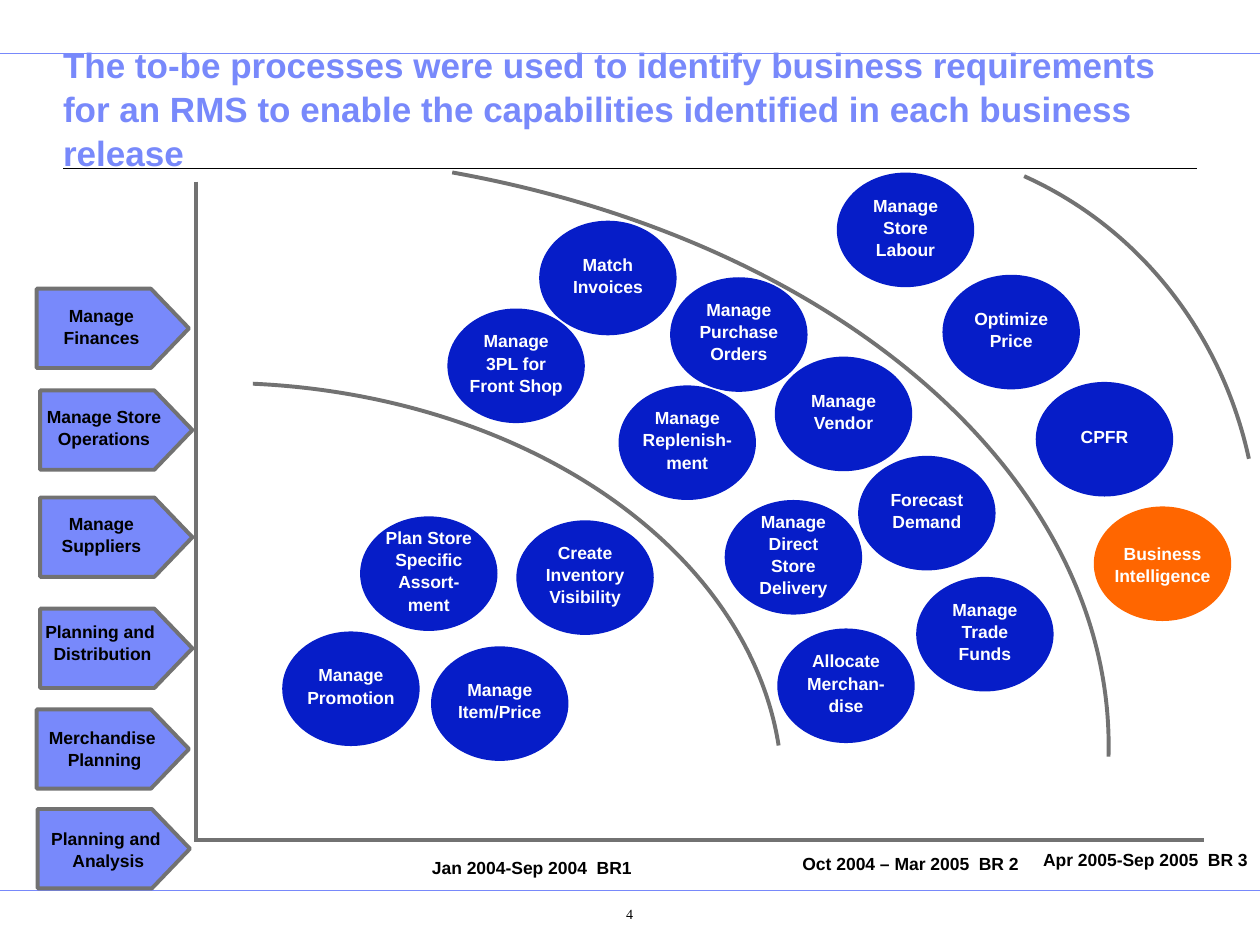
from lxml import etree
from pptx import Presentation
from pptx.dml.color import RGBColor
from pptx.enum.shapes import MSO_CONNECTOR, MSO_SHAPE
from pptx.enum.text import MSO_ANCHOR, MSO_AUTO_SIZE, PP_ALIGN
from pptx.oxml.ns import qn
from pptx.util import Cm, Pt

ARC, OVAL, TAG = MSO_SHAPE.ARC, MSO_SHAPE.OVAL, MSO_SHAPE.PENTAGON
STRAIGHT = MSO_CONNECTOR.STRAIGHT
TOP, MID, LOW = MSO_ANCHOR.TOP, MSO_ANCHOR.MIDDLE, MSO_ANCHOR.BOTTOM
LEFT, CENTER = PP_ALIGN.LEFT, PP_ALIGN.CENTER
FIXED = MSO_AUTO_SIZE.NONE

BLACK = RGBColor(0, 0, 0)
WHITE = RGBColor(0xFF, 0xFF, 0xFF)
GREY = RGBColor(0x72, 0x72, 0x72)
LILAC = RGBColor(0x78, 0x89, 0xFB)
BLUE = RGBColor(0x06, 0x1D, 0xC8)
ORANGE = RGBColor(0xFF, 0x66, 0x00)

TITLE = ("The to-be processes were used to identify business requirements "
         "for an RMS to enable the capabilities identified in each business "
         "release")

# left, top, width, height, start and end angle in degrees
ARCS = [
    (9.83, 2.9, 15.54, 16.31, 292.1, 346.6),
    (-7.01, 7.72, 22.78, 16.48, 275, 355.3),
    (-13.36, 3.07, 35.71, 23.93, 291.8, 0.7),
]

# left, top, text
BUBBLES = [
    (10.87, 4.45, "Match\nInvoices"),
    (12.47, 7.77, "Manage Replenish-ment"),
    (8.69, 13.03, "Manage Item/Price"),
    (5.69, 12.73, "Manage\nPromotion"),
    (14.61, 10.08, "Manage Direct Store Delivery"),
    (10.41, 10.49, "Create Inventory Visibility"),
    (19, 5.54, "Optimize Price"),
    (17.3, 9.19, "Forecast Demand"),
    (20.88, 7.7, "CPFR"),
    (9.02, 6.22, "Manage 3PL for Front Shop"),
    (15.62, 7.19, "Manage Vendor"),
    (7.26, 10.41, "Plan Store Specific Assort- ment"),
    (16.87, 3.48, "Manage Store Labour"),
    (15.67, 12.67, "Allocate Merchan-dise"),
    (18.47, 11.63, "Manage\nTrade\nFunds"),
    (13.51, 5.59, "Manage Purchase Orders"),
]

# tag left and top; label left, top, width and text
TAGS = [
    (0.74, 5.82, 0.51, 5.99, 3.07, "Manage Finances"),
    (0.81, 7.87, 0.56, 8.03, 3.07, "Manage Store Operations"),
    (0.81, 10.03, 0.51, 10.19, 3.07, "Manage Suppliers"),
    (0.81, 12.27, 0.53, 12.37, 3.07, "Planning and \nDistribution"),
    (0.74, 14.3, 0.74, 14.5, 2.74, "Merchandise \nPlanning"),
    (0.76, 16.31, 0.79, 16.54, 2.79, "Planning and \nAnalysis"),
]

# left, top, width, text
DATES = [
    (8.46, 17.12, 4.52, "Jan 2004-Sep 2004  BR1"),
    (15.93, 17.04, 4.85, "Oct 2004 – Mar 2005  BR 2"),
    (20.78, 16.97, 4.62, "Apr 2005-Sep 2005  BR 3"),
]

# x1, y1, x2, y2, colour, points
RULES = [
    (0, 1.07, 25.4, 1.07, LILAC, 0.5),
    (0, 17.96, 25.4, 17.96, LILAC, 0.5),
    (1.27, 3.4, 24.13, 3.4, BLACK, 0.75),
    (3.96, 16.94, 24.28, 16.94, GREY, 2.25),
    (3.96, 3.66, 3.96, 16.97, GREY, 2.25),
]


class Board:
    font = {"name": "Arial", "size": Pt(10), "bold": True}
    pads = (0.25, 0.13, 0.25, 0.13)

    def __init__(self, slide):
        self.slide = slide

    def text(self, shape, words, color, pads, anchor=MID, align=CENTER,
             wrap=True, **font):
        """Fill a shape with words; pads are left, top, right, bottom in cm."""
        frame = shape.text_frame
        frame.text = words
        sides = ("margin_left", "margin_top", "margin_right", "margin_bottom")
        form = dict(zip(sides, map(Cm, pads)), word_wrap=wrap,
                    vertical_anchor=anchor, auto_size=FIXED)
        for name, value in form.items():
            setattr(frame, name, value)
        for para in frame.paragraphs:
            para.alignment = align
            para.line_spacing = 1.05
            for name, value in {**self.font, **font}.items():
                setattr(para.font, name, value)
            para.font.color.rgb = color

    def title(self, words):
        shape = self.slide.shapes.title
        box = {"left": 1.27, "top": 2.03, "width": 22.86, "height": 1.6}
        for name, value in box.items():
            setattr(shape, name, Cm(value))
        self.text(shape, words, LILAC, (0, 0, 0, 0.13), LOW, LEFT,
                  size=Pt(20))

    def shape(self, kind, box, fill=None, line=None):
        shape = self.slide.shapes.add_shape(kind, *map(Cm, box))
        shape.shadow.inherit = False
        if fill is None:
            shape.fill.background()
        else:
            shape.fill.solid()
            shape.fill.fore_color.rgb = fill
        if line is None:
            shape.line.fill.background()
        else:
            shape.line.color.rgb = line
            shape.line.width = Pt(2.25)
        return shape

    def arc(self, box, start, end):
        shape = self.shape(ARC, box, line=GREY)
        for i, angle in enumerate((start, end)):
            shape.adjustments[i] = angle * 0.6  # 60000ths of a degree / 100000

    def bubble(self, x, y, words, fill=BLUE, low=0.13):
        shape = self.shape(OVAL, (x, y, 2.77, 2.31), fill)
        self.text(shape, words, WHITE, (0, 0, 0, low))

    def tag(self, x, y):
        shape = self.shape(TAG, (x, y, 3.07, 1.6), LILAC, GREY)
        shape.adjustments[0] = 0.48

    def label(self, box, words, wrap=False, pads=pads, **font):
        shape = self.slide.shapes.add_textbox(*map(Cm, box))
        self.text(shape, words, BLACK, pads, TOP, wrap=wrap, **font)

    def rule(self, ends, color, width):
        line = self.slide.shapes.add_connector(STRAIGHT, *map(Cm, ends))
        line.line.color.rgb = color
        line.line.width = Pt(width)
        etree.SubElement(line._element.spPr, qn("a:effectLst"))


def main():
    deck = Presentation()
    deck.slide_width, deck.slide_height = Cm(25.4), Cm(19.05)
    board = Board(deck.slides.add_slide(deck.slide_layouts[5]))
    for *ends, color, width in RULES:
        board.rule(ends, color, width)
    for *box, start, end in ARCS:
        board.arc(box, start, end)
    board.title(TITLE)
    for x, y, words in BUBBLES:
        board.bubble(x, y, words)
    board.bubble(22.05, 10.21, "Business Intelligence", ORANGE, 0)
    for x, y, left, top, width, words in TAGS:
        board.tag(x, y)
        board.label((left, top, width, 1.12), words, wrap="\n" not in words)
    for x, y, width, words in DATES:
        board.label((x, y, width, 0.69), words)
    board.label((10.85, 18.06, 2.92, 0.89), "4", True,
                (1.02, 0.18, 0.25, 0.13),
                name="Times New Roman", size=Pt(8), bold=False)
    deck.save("out.pptx")


if __name__ == "__main__":
    main()
